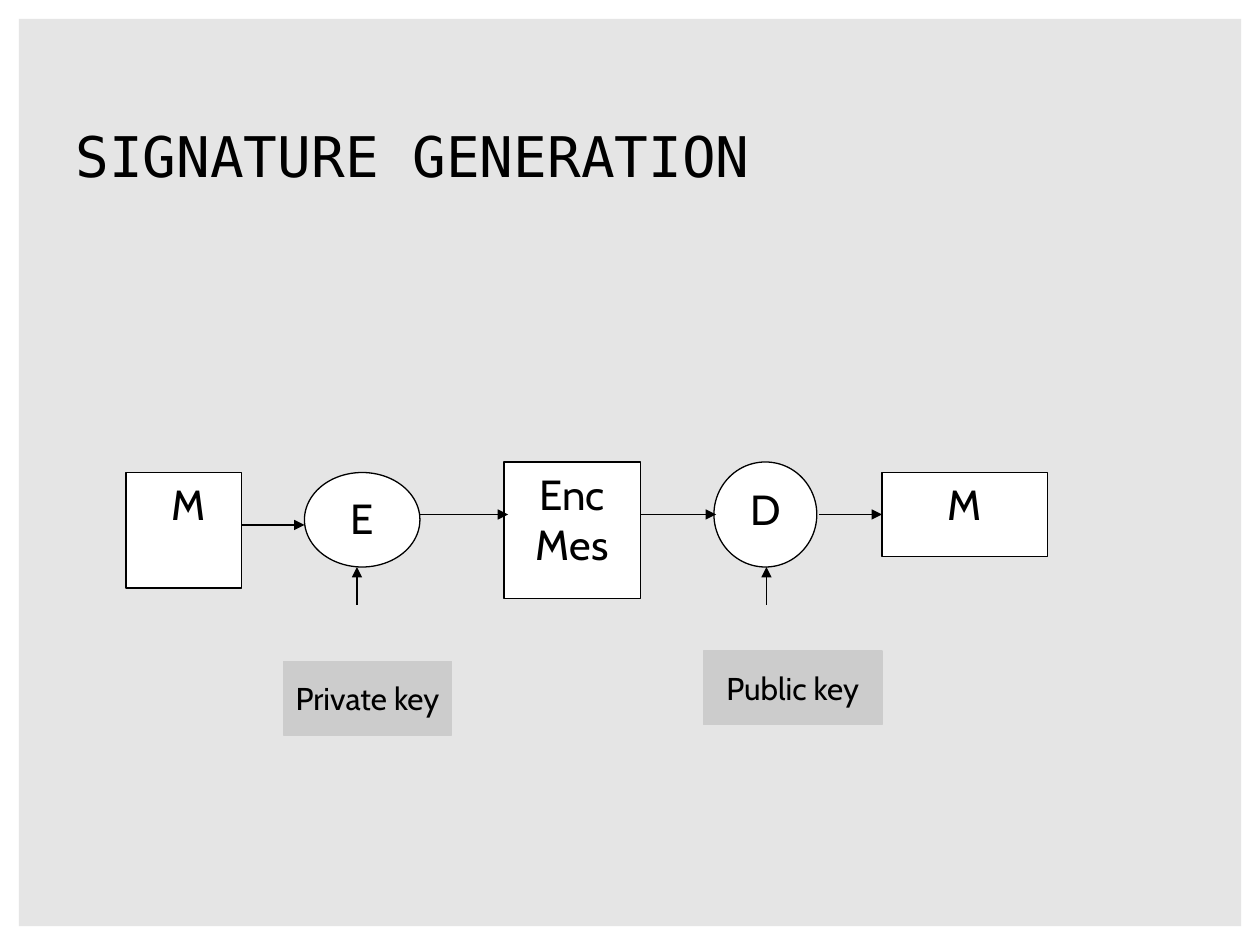
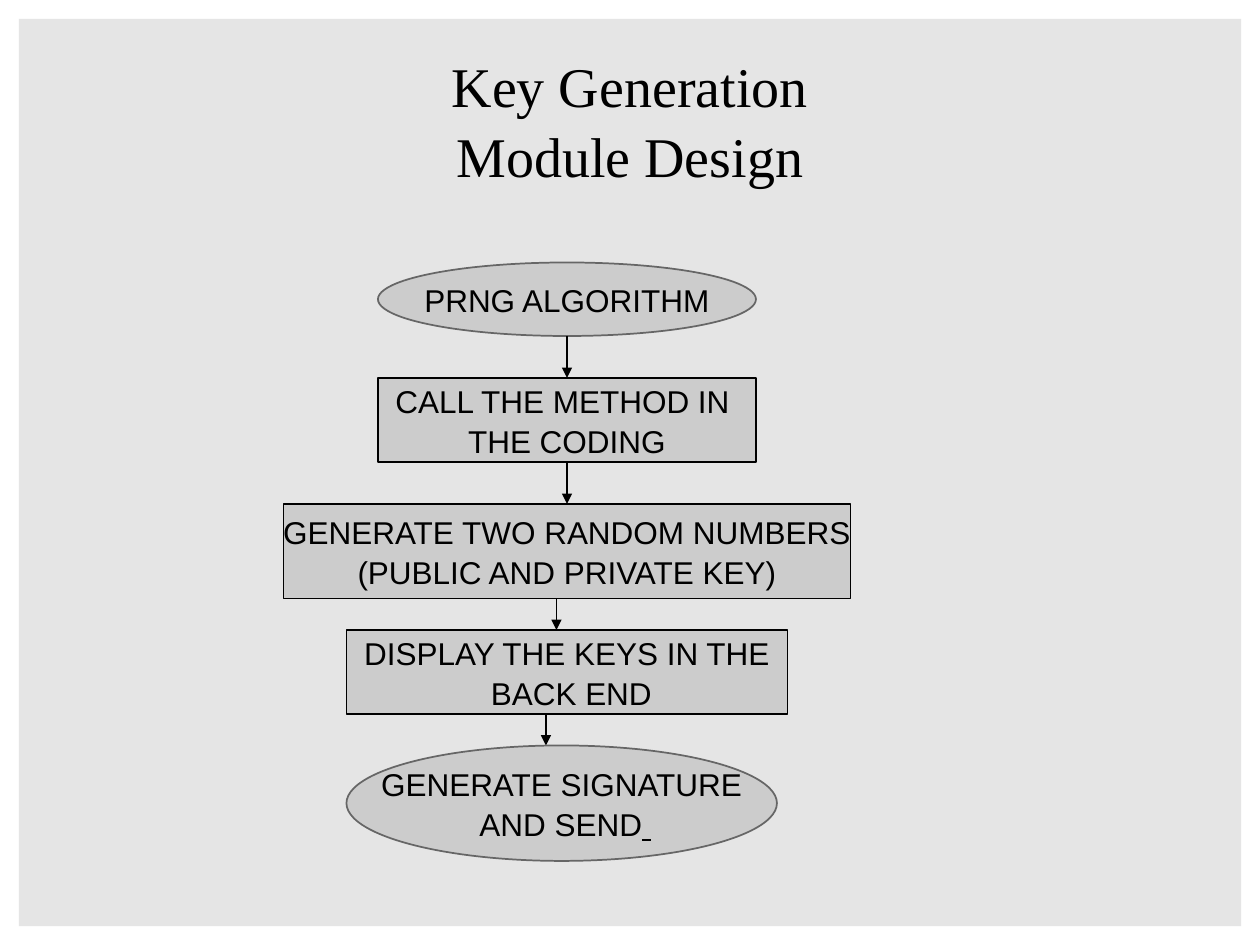
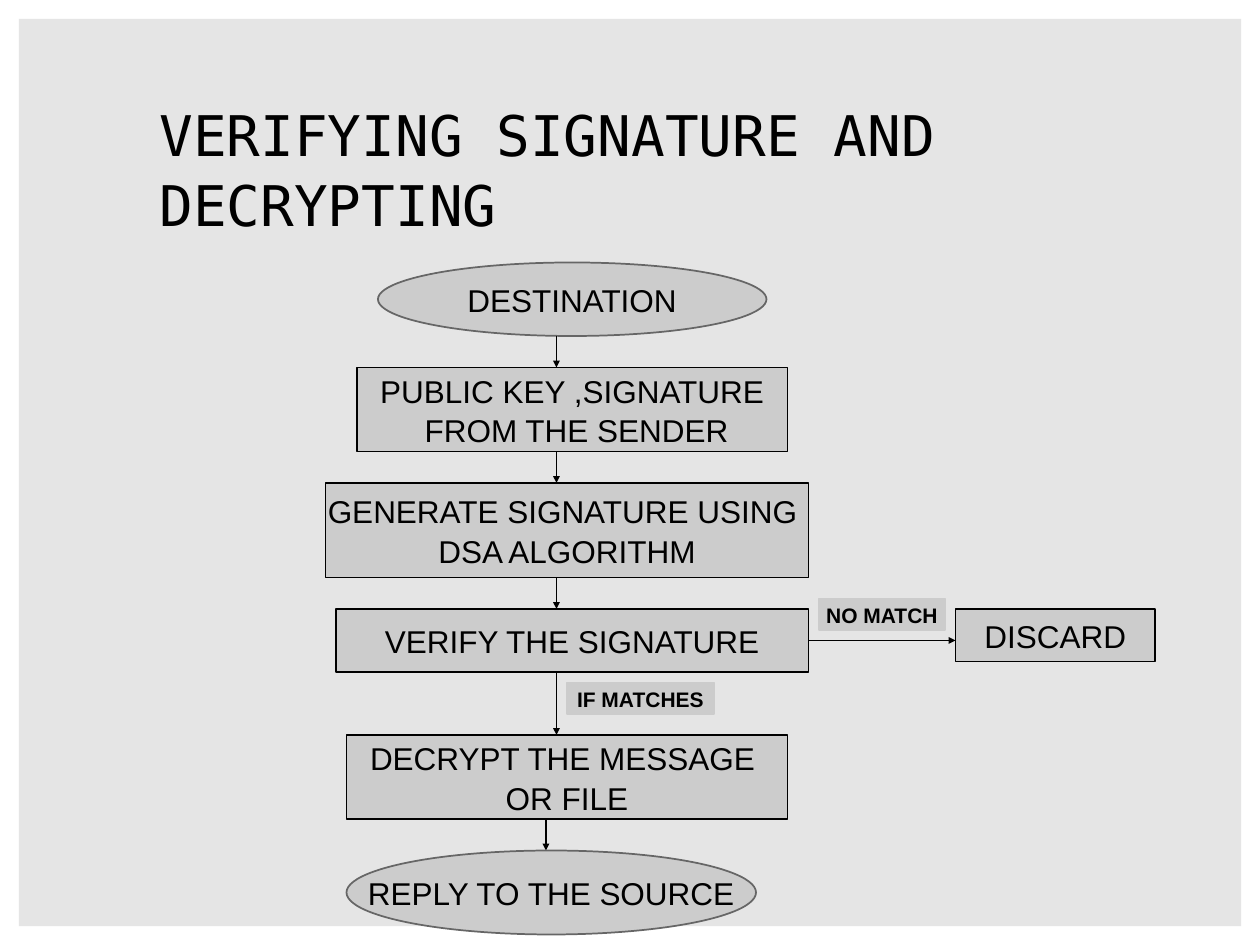
"""Build three slides on signing, key generation and verification."""
from dataclasses import dataclass

from lxml.etree import SubElement
from pptx import Presentation
from pptx.dml.color import RGBColor
from pptx.enum.shapes import MSO_CONNECTOR as CONNECTOR, MSO_SHAPE as SHAPE
from pptx.enum.text import MSO_ANCHOR as ANCHOR, PP_ALIGN as ALIGN
from pptx.oxml.ns import qn
from pptx.util import Inches, Pt


@dataclass(frozen=True)
class Theme:
    black: RGBColor = RGBColor.from_string("000000")
    white: RGBColor = RGBColor.from_string("FFFFFF")
    gray: RGBColor = RGBColor.from_string("CCCCCC")
    outline: RGBColor = RGBColor.from_string("666666")
    mono: str = "DejaVu Sans Mono"
    serif: str = "Times New Roman"
    sans: str = "Arial"
    humanist: str = "Cabin"
    title: int = 32
    symbol: int = 24
    step: int = 18
    label: int = 12
    thin: float = 0.75
    normal: float = 1


theme = Theme()
presentation = Presentation()
presentation.slide_width = Inches(10)
presentation.slide_height = Inches(7.5)
column = presentation.slide_width / 120
row = presentation.slide_height / 90


def write(shape, text, font=theme.sans, size=theme.step, bold=False, align=ALIGN.CENTER,
          anchor=ANCHOR.MIDDLE, wrap=False, spacing=1.04, underlined=""):
    frame = shape.text_frame
    frame.word_wrap = wrap
    frame.vertical_anchor = anchor
    frame.text = text
    if underlined:
        ending = frame.paragraphs[-1].add_run()
        ending.text = underlined
        ending.font.underline = True
    for paragraph in frame.paragraphs:
        paragraph.alignment = align
        paragraph.line_spacing = spacing
        for run in paragraph.runs:
            run.font.name = font
            run.font.size = Pt(size)
            run.font.bold = bold
            run.font.color.rgb = theme.black


def draw(slide, kind, place, fill=theme.gray, line=theme.black, width=theme.normal, head="med"):
    box = [round(n * unit) for n, unit in zip(place, (column, row) * 2)]
    if kind == "text":
        return slide.shapes.add_textbox(*box)
    if kind == "arrow":
        shape = slide.shapes.add_connector(CONNECTOR.STRAIGHT, *box)
    else:
        shape = slide.shapes.add_shape(kind, *box)
        shape.shadow.inherit = False
        shape.fill.solid()
        shape.fill.fore_color.rgb = fill
    shape.line.color.rgb = line
    shape.line.width = Pt(width)
    if kind == "arrow":
        properties = shape._element.spPr
        for outline in properties.xpath("a:ln"):
            SubElement(outline, qn("a:tailEnd"), type="triangle", w=head, len=head)
        SubElement(properties, qn("a:effectLst"))
    return shape


titles = [
    ("SIGNATURE GENERATION", (6, 3.6, 108, 15), theme.mono, ALIGN.LEFT),
    ("Key Generation\vModule Design", (6, 3.6, 108, 15), theme.serif, ALIGN.CENTER),
    ("VERIFYING SIGNATURE AND DECRYPTING", (14, 4, 102.2, 19.2), theme.mono, ALIGN.LEFT),
]
slides = []
for text, place, font, align in titles:
    slide = presentation.slides.add_slide(presentation.slide_layouts[6])
    band = draw(slide, SHAPE.RECTANGLE, (1.8, 1.8, 116.4, 86.4))
    band.line.fill.background()
    for color in band._element.spPr.xpath("a:solidFill/a:srgbClr"):
        SubElement(color, qn("a:alpha"), val="50000")
    title = draw(slide, "text", place)
    write(title, text, font=font, size=theme.title, align=align, anchor=ANCHOR.BOTTOM, wrap=True)
    slides.append(slide)
signature_slide, key_slide, verify_slide = slides

stages = [
    (SHAPE.RECTANGLE, (12, 45, 11, 11), " M"),
    (SHAPE.OVAL, (29, 45, 11, 9), "E"),
    (SHAPE.RECTANGLE, (48, 44, 13, 13), "Enc Mes"),
    (SHAPE.OVAL, (68, 44, 9.8, 10), "D"),
    (SHAPE.RECTANGLE, (84, 45, 15.8, 8), "M"),
]
for kind, place, text in stages:
    stage = draw(signature_slide, kind, place, fill=theme.white, width=theme.thin)
    write(stage, text, font=theme.humanist, size=theme.symbol, anchor=ANCHOR.TOP, wrap=True,
          spacing=1)
flows = [(23, 50, 29, 50), (40, 49, 48.4, 49), (61, 49, 68.2, 49), (78, 49, 84, 49),
         (34, 57.6, 34, 54), (73, 57.6, 73, 54)]
for place in flows:
    draw(signature_slide, "arrow", place, width=theme.thin)
for text, place in [("Private key", (27, 63, 16, 7)), ("Public key", (67, 62, 17, 7))]:
    key = draw(signature_slide, SHAPE.RECTANGLE, place, line=theme.gray, width=theme.thin)
    write(key, text, font=theme.humanist, spacing=1)

key_steps = [
    ("PRNG ALGORITHM", (36, 25, 36, 7), 54),
    ("CALL THE METHOD IN \nTHE CODING", (36, 36, 36, 8), 54),
    ("GENERATE TWO RANDOM NUMBERS\n(PUBLIC AND PRIVATE KEY)", (27, 48, 54, 9), 53),
    ("DISPLAY THE KEYS IN THE\n BACK END", (33, 60, 42, 8), 52),
    ("GENERATE SIGNATURE\n AND SEND", (33, 71, 41, 11), None),
]
verify_steps = [
    ("DESTINATION", (36, 25, 37, 7), 53),
    ("PUBLIC KEY ,SIGNATURE\n FROM THE SENDER", (34, 35, 41, 8), 53),
    ("GENERATE SIGNATURE USING \nDSA ALGORITHM", (31, 46, 46, 9), 53),
    ("VERIFY THE SIGNATURE", (32, 58, 45, 6), 53),
    ("DECRYPT THE MESSAGE \nOR FILE", (33, 70, 42, 8), 52),
    ("REPLY TO THE SOURCE", (33, 81, 39, 8), None),
]
flowcharts = [(key_slide, key_steps, theme.thin, "med", " "),
              (verify_slide, verify_steps, theme.normal, "sm", "")]
for slide, steps, width, head, ending in flowcharts:
    for index, (text, place, arrow_column) in enumerate(steps):
        is_last = index == len(steps) - 1
        if index == 0 or is_last:
            step = draw(slide, SHAPE.OVAL, place, line=theme.outline)
        else:
            step = draw(slide, SHAPE.RECTANGLE, place)
        write(step, text, underlined=ending if is_last else "")
        if not is_last:
            bottom, next_top = place[1] + place[3], steps[index + 1][1][1]
            draw(slide, "arrow", (arrow_column, bottom, arrow_column, next_top),
                 width=width, head=head)

discard = draw(verify_slide, SHAPE.RECTANGLE, (91, 58, 19, 5))
write(discard, "DISCARD")
draw(verify_slide, "arrow", (77, 61, 91, 61), head="sm")
for text, place in [("IF MATCHES", (54, 65, 14, 3)), ("NO MATCH", (78, 57, 12, 3))]:
    label = draw(verify_slide, SHAPE.RECTANGLE, place, line=theme.gray)
    write(label, text, size=theme.label, bold=True)

presentation.save("out.pptx")
